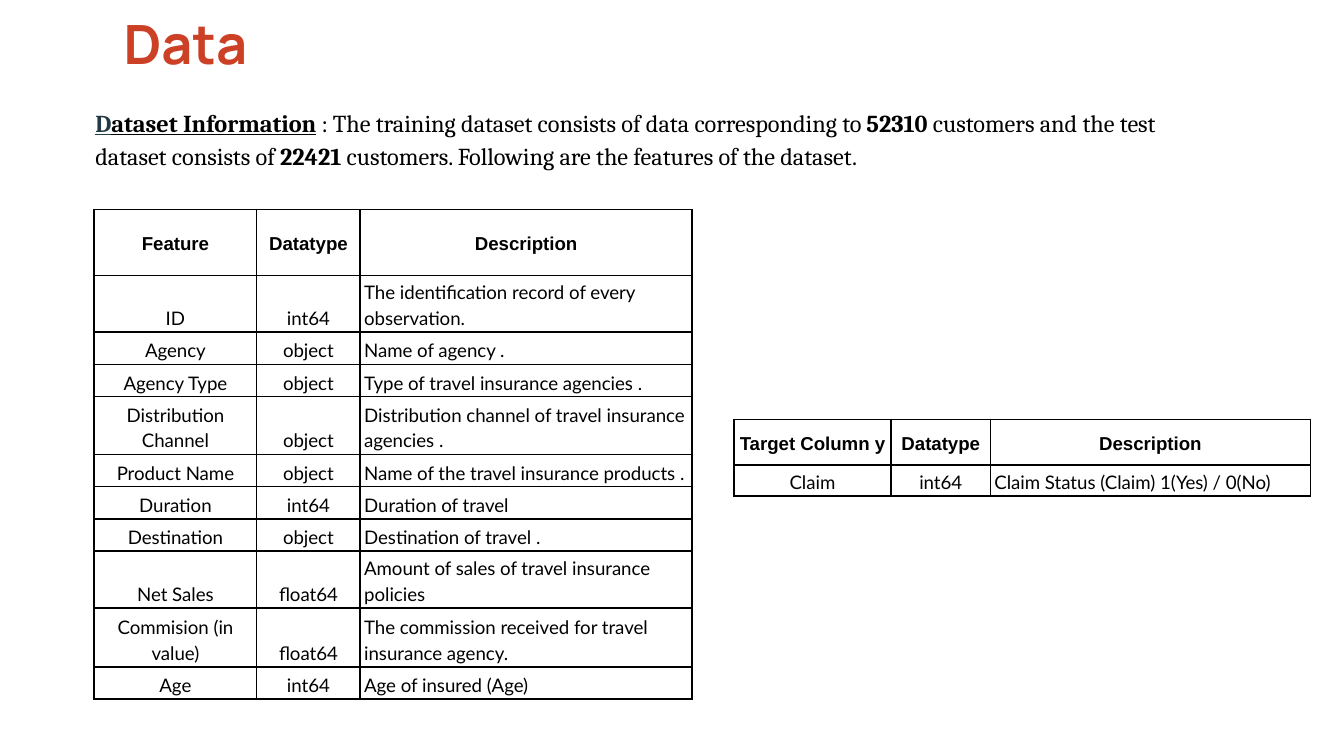
from dataclasses import dataclass

from lxml import etree
from pptx import Presentation
from pptx import util as u
from pptx.dml import color
from pptx.enum import text
from pptx.oxml import ns

BLACK = "000000"
BORDER_WIDTH = u.Pt(0.94)
HEADER_FONT = {"name": "Arial", "size": u.Pt(10), "bold": True}
CELL_FONT = {"name": "Lato", "size": u.Pt(10), "bold": False}
BODY_FONT = {"name": "Cambria", "size": u.Pt(13), "bold": False}


@dataclass
class FeatureTable:
    left: float
    top: float
    widths: list[float]
    heights: list[float]
    rows: list[tuple[str, str, str]]


@dataclass
class TextPart:
    words: str
    bold: bool = False
    underline: bool = False
    hex_color: str = BLACK


def format_font(font, values: dict, hex_color: str = BLACK) -> None:
    for name, value in values.items():
        setattr(font, name, value)
    font.color.rgb = color.RGBColor.from_string(hex_color)


def prepare_placeholder(shape, box: tuple, top_inset: float):
    """Move a placeholder and return its single, unbulleted paragraph."""
    shape.left, shape.top, shape.width, shape.height = map(u.Inches, box)
    frame = shape.text_frame
    settings = {
        "margin_left": 0, "margin_right": 0, "margin_bottom": 0,
        "margin_top": u.Inches(top_inset), "word_wrap": True,
        "auto_size": text.MSO_AUTO_SIZE.NONE,
        "vertical_anchor": text.MSO_ANCHOR.TOP,
    }
    for name, value in settings.items():
        setattr(frame, name, value)
    paragraph = frame.paragraphs[0]
    paragraph.alignment = text.PP_ALIGN.LEFT
    paragraph.space_before = u.Pt(0)
    properties = paragraph._p.get_or_add_pPr()
    properties.set("marL", str(u.Inches(0.01)))
    properties.set("indent", "0")
    etree.SubElement(properties, ns.qn("a:buNone"))
    return paragraph


def add_borders(cell) -> None:
    properties = cell._tc.get_or_add_tcPr()
    for position, side in enumerate(("lnL", "lnR", "lnT", "lnB")):
        line = etree.Element(ns.qn(f"a:{side}"), w=str(BORDER_WIDTH))
        fill = etree.SubElement(line, ns.qn("a:solidFill"))
        etree.SubElement(fill, ns.qn("a:srgbClr"), val=BLACK)
        properties.insert(position, line)


def fill_cell(cell, words: str, is_header: bool, centered: bool) -> None:
    anchor = text.MSO_ANCHOR.MIDDLE if is_header else text.MSO_ANCHOR.BOTTOM
    settings = {
        "text": words, "vertical_anchor": anchor,
        "margin_left": u.Inches(0.03), "margin_right": u.Inches(0.03),
        "margin_top": u.Inches(0.02), "margin_bottom": u.Inches(0.02),
    }
    for name, value in settings.items():
        setattr(cell, name, value)
    cell.fill.background()
    add_borders(cell)
    for paragraph in cell.text_frame.paragraphs:
        paragraph.alignment = text.PP_ALIGN.CENTER if centered else text.PP_ALIGN.LEFT
        paragraph.line_spacing = 1.15
        for run in paragraph.runs:
            format_font(run.font, HEADER_FONT if is_header else CELL_FONT)


def add_feature_table(slide, content: FeatureTable) -> None:
    table = slide.shapes.add_table(
        len(content.rows), len(content.widths),
        u.Inches(content.left), u.Inches(content.top),
        u.Inches(sum(content.widths)), u.Inches(sum(content.heights)),
    ).table
    table.first_row = table.horz_banding = False
    for column, width in zip(table.columns, content.widths):
        column.width = u.Inches(width)
    for row, height in zip(table.rows, content.heights):
        row.height = u.Inches(height)
    for i, entries in enumerate(content.rows):
        for j, words in enumerate(entries):
            fill_cell(table.cell(i, j), words, i == 0, i == 0 or j < 2)


DATASET_PARTS = [
    TextPart("D", True, True, "233A44"),
    TextPart("ataset Information", True, True),
    TextPart(" ", True),
    TextPart(": The training dataset consists of data corresponding to "),
    TextPart("52310", True),
    TextPart(" customers and the test dataset consists of "),
    TextPart("22421", True),
    TextPart(" customers. Following are the features of the dataset."),
]

TABLES = [
    FeatureTable(
        0.7, 1.56, [1.21, 0.77, 2.47],
        [0.49, 0.41, 0.24, 0.24, 0.43, 0.24, 0.24, 0.24, 0.41, 0.44, 0.24],
        [
            ("Feature", "Datatype", "Description"),
            ("ID", "int64", "The identification record of every observation."),
            ("Agency", "object", "Name of agency ."),
            ("Agency Type", "object", "Type of travel insurance agencies ."),
            ("Distribution Channel", "object",
             "Distribution channel of travel insurance agencies ."),
            ("Product Name", "object", "Name of the travel insurance products ."),
            ("Duration", "int64", "Duration of travel"),
            ("Destination", "object", "Destination of travel ."),
            ("Net Sales", "float64", "Amount of sales of travel insurance policies"),
            ("Commision (in value)", "float64",
             "The commission received for travel\ninsurance agency."),
            ("Age", "int64", "Age of insured (Age)"),
        ],
    ),
    FeatureTable(
        5.46, 3.12, [1.17, 0.74, 2.38], [0.34, 0.22],
        [
            ("Target Column y", "Datatype", "Description"),
            ("Claim", "int64", "Claim Status (Claim) 1(Yes) / 0(No)"),
        ],
    ),
]


def main() -> None:
    # Widescreen page, 16:9
    presentation = Presentation()
    presentation.slide_width = u.Inches(10)
    presentation.slide_height = u.Inches(10 * 9 / 16)
    slide = presentation.slides.add_slide(presentation.slide_layouts[1])

    # Title
    heading = prepare_placeholder(slide.shapes.title, (0.91, 0.07, 1.68, 0.53), 0.01)
    run = heading.add_run()
    run.text = "Data"
    format_font(run.font, {"name": "Manrope", "size": u.Pt(29), "bold": True}, "CC4125")

    # Dataset summary
    summary = prepare_placeholder(slide.placeholders[1], (0.7, 0.75, 8.31, 0.82), 0.02)
    summary.line_spacing = 1.15
    for part in DATASET_PARTS:
        run = summary.add_run()
        run.text = part.words
        style = BODY_FONT | {"bold": part.bold, "underline": part.underline}
        format_font(run.font, style, part.hex_color)

    # Feature and target tables
    for feature_table in TABLES:
        add_feature_table(slide, feature_table)

    presentation.save("out.pptx")


if __name__ == "__main__":
    main()
